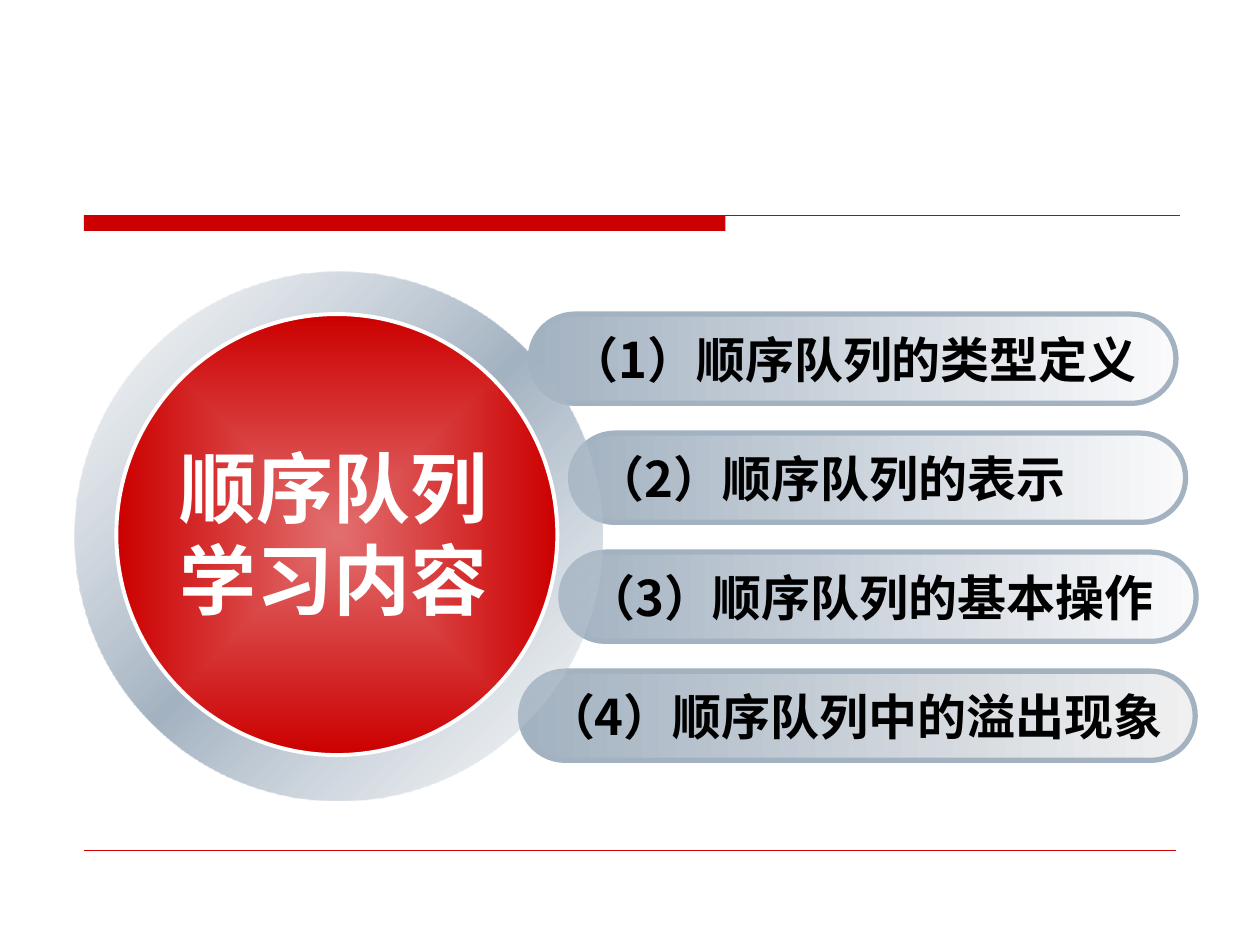
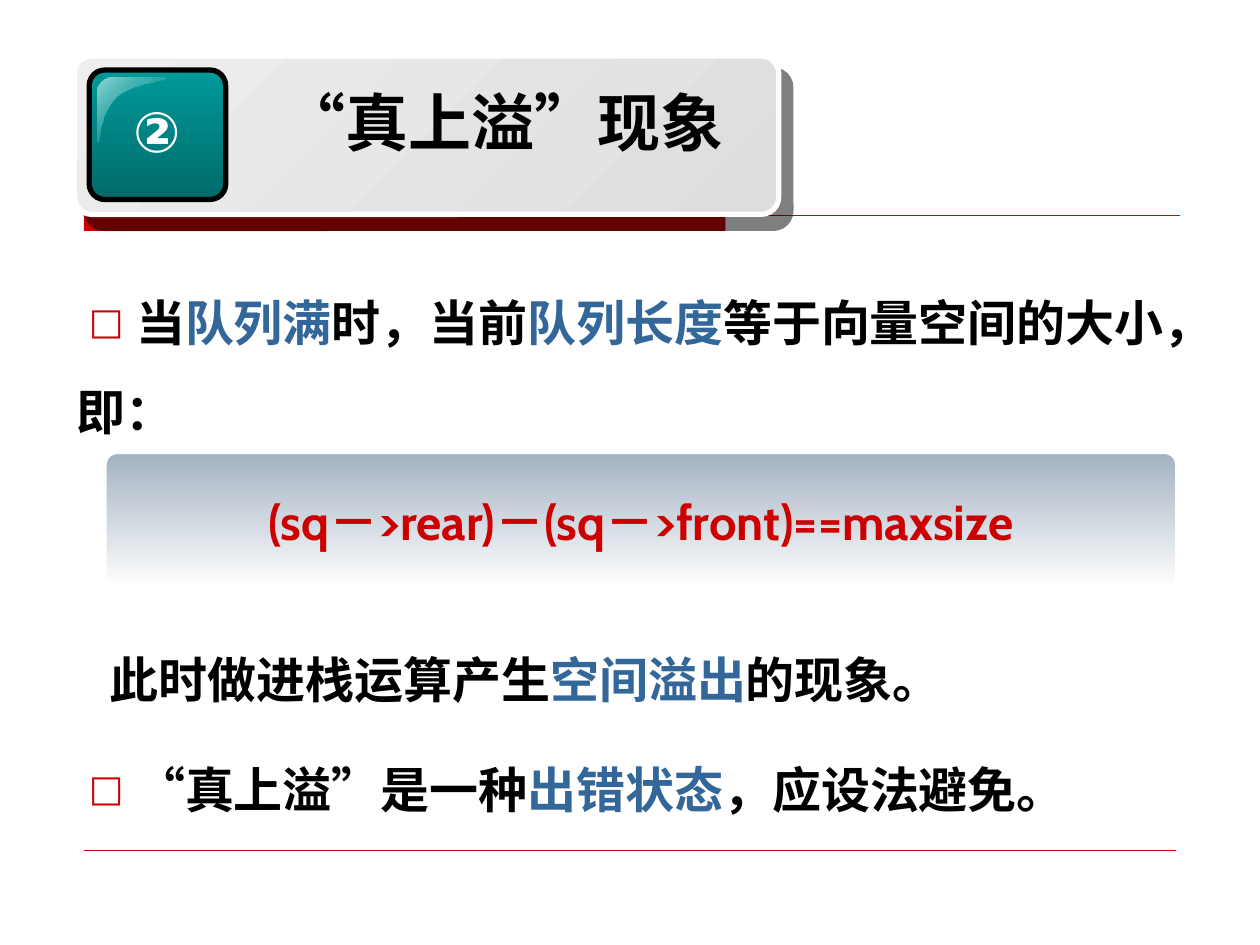
from pptx import Presentation
from pptx.dml.color import RGBColor as Rgb
from pptx.enum.shapes import MSO_CONNECTOR as Link, MSO_SHAPE as Kind
from pptx.enum.text import MSO_ANCHOR as Anchor, PP_ALIGN as Align
from pptx.oxml import parse_xml
from pptx.oxml.ns import nsdecls, qn
from pptx.util import Pt

HUES = {
    "red": "CC0000", "rose": "E26F6F", "steel": "A3B2C1", "mist": "C7D0D9",
    "pale": "FAFAFB", "fog": "F0F0F0", "white": "FFFFFF", "black": "000000",
    "blue": "336699", "light": "EEEEEE", "grey": "DDDDDD",
    "teal": "009999", "deep": "006B6B", "aqua": "93D4D4",
}
HAN = "Noto Sans CJK SC"


def rgb(name):
    return Rgb.from_string(HUES[name])


def node(xml):
    """Parse one element whose first tag lacks the namespace declaration."""
    tag, rest = xml.split(" ", 1)
    return parse_xml(f"{tag} {nsdecls('a')} {rest}")


def shade(hue, alpha, dist, angle):
    return node(f'<a:outerShdw blurRad="0" dist="{Pt(dist)}" dir="{angle * 60000}" '
                f'algn="ctr" rotWithShape="0"><a:srgbClr val="{HUES[hue]}">'
                f'<a:alpha val="{alpha * 1000}"/></a:srgbClr></a:outerShdw>')


def curve(a, b, c, d, steps=12):
    """Points along a cubic curve, leaving out its start."""
    for i in range(1, steps + 1):
        t = i / steps
        u = 1 - t
        mix = (u ** 3, 3 * u * u * t, 3 * u * t * t, t ** 3)
        yield tuple(sum(m * p[k] for m, p in zip(mix, (a, b, c, d))) for k in (0, 1))


class Deck:
    def __init__(self):
        self.prs = Presentation()
        self.prs.slide_width, self.prs.slide_height = Pt(720), Pt(540)

    def page(self):
        """Start a slide with the red bar and the two rules."""
        self.slide = self.prs.slides.add_slide(self.prs.slide_layouts[6])
        self.shape(Kind.RECTANGLE, (48, 123, 366.5, 9), "red")
        self.rule(48, 674.5, 123, 0.75)
        self.rule(48, 672, 486, 0.25)

    def rule(self, left, right, y, width):
        line = self.slide.shapes.add_connector(
            Link.STRAIGHT, Pt(left), Pt(y), Pt(right), Pt(y))
        line.line.color.rgb = rgb("red")
        line.line.width = Pt(width)
        line._element.spPr.append(node("<a:effectLst />"))

    def paint(self, shape, fill, angle=0, edge=None, width=0):
        """Fill with one hue, or with a list of (position, hue, opacity) stops."""
        shape.shadow.inherit = False
        shape.fill.solid()
        if isinstance(fill, str):
            shape.fill.fore_color.rgb = rgb(fill)
        else:
            stops = "".join(
                f'<a:gs pos="{at * 1000}"><a:srgbClr val="{HUES[hue]}">'
                f'<a:alpha val="{alpha * 1000}"/></a:srgbClr></a:gs>'
                for at, hue, alpha in fill)
            if angle is None:
                way = ('<a:path path="rect"><a:fillToRect l="50000" t="50000" '
                       'r="50000" b="50000"/></a:path>')
            else:
                way = f'<a:lin ang="{angle * 60000}" scaled="0"/>'
            props = shape._element.spPr
            props.replace(props.find(qn("a:solidFill")), node(
                f'<a:gradFill rotWithShape="1"><a:gsLst>{stops}</a:gsLst>{way}</a:gradFill>'))
        if edge:
            shape.line.color.rgb = rgb(edge)
            shape.line.width = Pt(width)
        else:
            shape.line.fill.background()

    def shape(self, kind, box, fill, angle=0, edge=None, width=0, adj=None):
        item = self.slide.shapes.add_shape(kind, *map(Pt, box))
        if adj is not None:
            item.adjustments[0] = adj
        self.paint(item, fill, angle, edge, width)
        return item

    def blend(self, kind, box, first, last, **style):
        """A shape with a gradient between two hues."""
        return self.shape(kind, box, [(0, first, 100), (100, last, 100)], **style)

    def outline(self, points, fill, angle):
        first, *rest = [(Pt(x), Pt(y)) for x, y in points]
        pen = self.slide.shapes.build_freeform(*first)
        pen.add_line_segments(rest)
        self.paint(pen.convert_to_shape(), fill, angle)

    def font(self, run, size, hue, face=HAN, han=HAN):
        run.font.size, run.font.bold, run.font.name = Pt(size), True, face
        run.font.color.rgb = rgb(hue)
        run.font._element.find(qn("a:latin")).addnext(
            node(f'<a:ea typeface="{han}"/>'))

    def words(self, shape, text, size, hue, align=Align.CENTER, wrap=False, **faces):
        frame = shape.text_frame
        frame.text = text
        frame.word_wrap = wrap
        frame.vertical_anchor = Anchor.MIDDLE
        para = frame.paragraphs[0]
        para.alignment = align
        self.font(para.runs[0], size, hue, **faces)
        return para

    def label(self, box, text, size, hue, **style):
        item = self.slide.shapes.add_textbox(*map(Pt, box))
        return self.words(item, text, size, hue, **style)

    def body(self, box, rows):
        """Rows of (space before, left margin, bullet?, [(text, hue), ...])."""
        frame = self.slide.shapes.add_textbox(*map(Pt, box)).text_frame
        frame.word_wrap = True
        for i, (gap, margin, mark, parts) in enumerate(rows):
            para = frame.add_paragraph() if i else frame.paragraphs[0]
            props = para._element.get_or_add_pPr()
            props.set("marL", str(Pt(margin)))
            props.set("indent", str(Pt(-27 if mark else 0)))
            if mark:
                for xml in (f'<a:buClr ><a:srgbClr val="{HUES["red"]}"/></a:buClr>',
                            '<a:buSzPct val="75000"/>',
                            '<a:buFont typeface="DejaVu Sans"/>',
                            '<a:buChar char="□"/>'):
                    props.append(node(xml))
            para.line_spacing = Pt(44)
            para.space_before = Pt(gap)
            for text, hue in parts:
                run = para.add_run()
                run.text = text
                self.font(run, 28, hue)


def topics(deck):
    deck.page()
    pills = [
        (303, 369, "pale", Align.CENTER, "（1）顺序队列的类型定义"),
        (326, 351.5, "pale", Align.LEFT, "（2）顺序队列的表示"),
        (320.5, 363, "pale", Align.LEFT, "（3）顺序队列的基本操作"),
        (297.5, 385.5, "fog", Align.LEFT, "（4）顺序队列中的溢出现象"),
    ]
    for i, (left, width, end, align, text) in enumerate(pills):
        pill = deck.blend(Kind.ROUNDED_RECTANGLE, (left, 179.5 + 68 * i, width, 51),
                          "steel", end, edge="steel", width=3, adj=0.5)
        deck.words(pill, text, 28, "black", align=align)
    deck.shape(Kind.DONUT, (42.5, 155.5, 302, 302),
               [(0, "mist", 12), (50, "steel", 100), (100, "mist", 12)],
               angle=45, adj=0.09)
    deck.blend(Kind.OVAL, (66.5, 179.5, 252, 252), "rose", "red",
               angle=None, edge="white", width=2.25)
    para = deck.label((82, 248, 217, 113), "顺序队列学习内容", 44, "white",
                      wrap=True, face="Arial")
    glow = node("<a:effectLst />")
    glow.append(shade("black", 100, 2, 45))
    para.runs[0].font._element.find(qn("a:latin")).addprevious(glow)


def overflow(deck):
    deck.page()
    deck.body((36.7, 153, 683, 329), [
        (0, 34, True, [("当", "black"), ("队列满", "blue"), ("时，当前", "black"),
                       ("队列长度", "blue"), ("等于向量空间的大小，", "black")]),
        (7, 0, False, [("即：", "black")]),
        (109, 19, False, [("此时做进栈运算产生", "black"), ("空间溢出", "blue"),
                          ("的现象。", "black")]),
        (19, 34, True, [("“真上溢”是一种", "black"), ("出错状态", "blue"),
                        ("，应设法避免。", "black")]),
    ])
    test = deck.blend(Kind.ROUNDED_RECTANGLE, (60, 258.5, 612.5, 78), "steel", "white",
                      angle=90, edge="white", width=2, adj=0.09)
    deck.words(test, "(sq－>rear)－(sq－>front)==maxsize", 28, "red", face="Cabin")

    plate = deck.blend(Kind.ROUNDED_RECTANGLE, (42.5, 32, 402.5, 90.5), "light", "grey",
                       angle=45, edge="white", width=3, adj=0.11)
    plate._element.spPr.find(qn("a:effectLst")).append(shade("black", 50, 10.6, 49))
    deck.blend(Kind.ROUNDED_RECTANGLE, (51, 40, 78, 74), "teal", "deep",
               angle=90, edge="black", width=3, adj=0.12)
    top, side, foot, bend, tip = (64, 44.6), (56, 52.6), (56, 81.4), (67, 55.4), (94.5, 44.6)
    deck.outline([top, *curve(top, (59.8, 44.6), (56, 48.2), side), foot,
                  *curve(foot, (57.6, 82), (56.9, 64), bend),
                  *curve(bend, (76.3, 47.5), (95, 46.8), tip), top],
                 [(0, "aqua", 100), (100, "teal", 0)], angle=45)
    mark = deck.label((69, 60.5, 41, 36), "②", 32, "white", face="Cabin", han="DejaVu Sans")
    mark.line_spacing = 0.75
    deck.label((139.5, 44, 296, 50.5), "“真上溢”现象", 36, "black", wrap=True)


def main():
    deck = Deck()
    topics(deck)
    overflow(deck)
    deck.prs.save("out.pptx")


if __name__ == "__main__":
    main()
